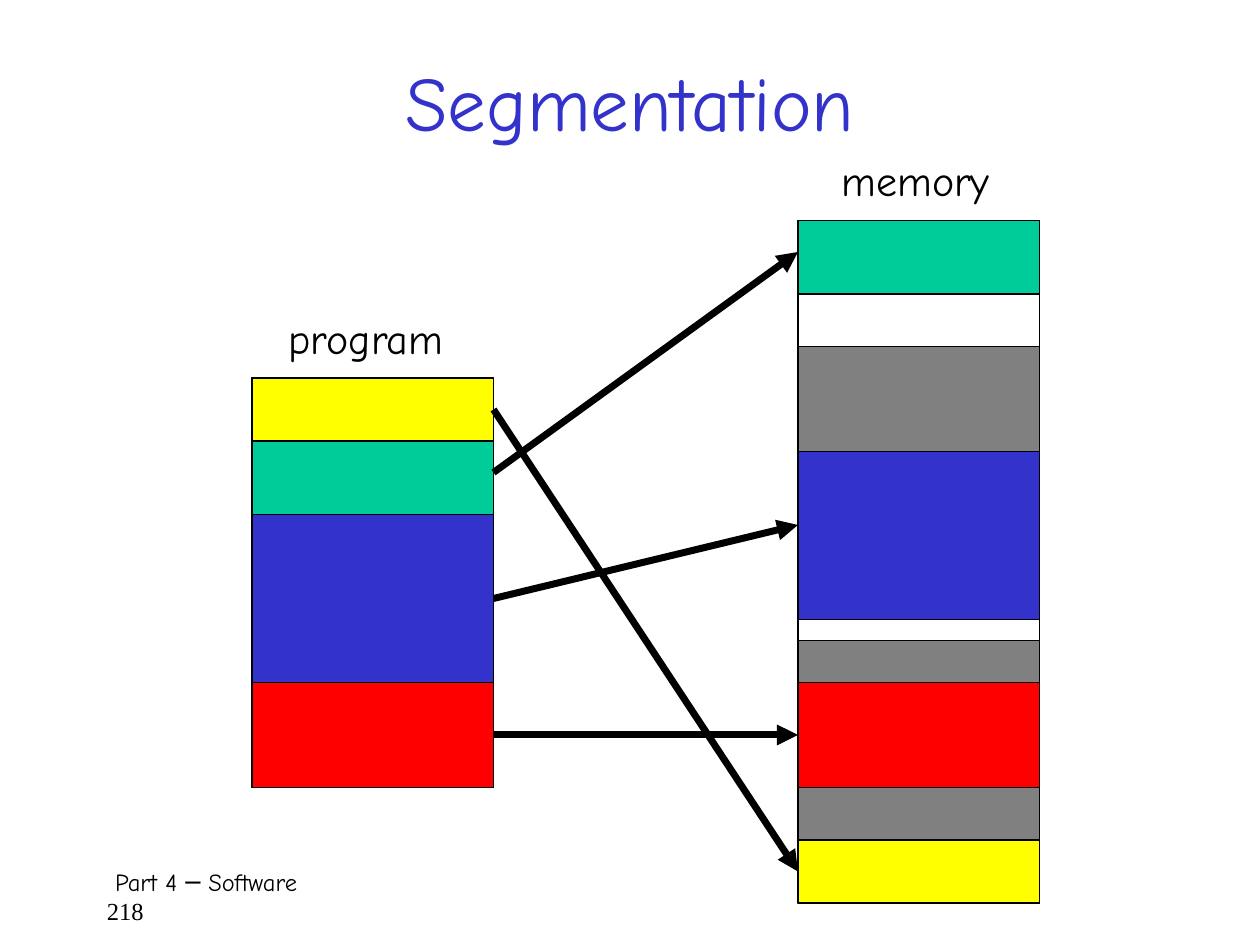
from dataclasses import dataclass
from typing import NamedTuple

from lxml.etree import SubElement
from pptx import Presentation
from pptx.dml.color import RGBColor
from pptx.enum.shapes import MSO_CONNECTOR as Connector, MSO_SHAPE as Shape
from pptx.enum.text import MSO_ANCHOR as Anchor, PP_ALIGN as Align
from pptx.oxml.ns import qn
from pptx.util import Inches, Pt


@dataclass(frozen=True)
class Theme:
    """Colours, fonts and sizes of the slide."""
    black: str = "000000"
    yellow: str = "FFFF00"
    green: str = "00CC99"
    blue: str = "3333CC"
    red: str = "FF0000"
    gray: str = "808080"
    font: str = "Comic Neue"
    number_font: str = "Times New Roman"
    title_size: int = 44
    label_size: int = 24
    footer_size: int = 14
    outline: float = 0.75
    arrow: float = 4


class Segment(NamedTuple):
    """A block of a stack: height in grid rows and colour, None for a gap."""
    rows: int
    color: str | None


class Stack(NamedTuple):
    """A column of segments placed on the grid."""
    column: int
    row: int
    segments: tuple[Segment, ...]


class Link(NamedTuple):
    """An arrow between the stacks, by its grid rows."""
    start: int
    end: int


class Label(NamedTuple):
    """A line of text in a box given in inches."""
    text: str
    box: tuple[float, float, float, float]
    size: int
    color: str
    wrap: bool = True


THEME = Theme()
CELLS_PER_INCH = 12
STACK_COLUMNS = 23
PROGRAM = Stack(24, 36, (
    Segment(6, THEME.yellow), Segment(7, THEME.green),
    Segment(16, THEME.blue), Segment(10, THEME.red)))
MEMORY = Stack(76, 21, (
    Segment(7, THEME.green), Segment(5, None), Segment(10, THEME.gray),
    Segment(16, THEME.blue), Segment(2, None), Segment(4, THEME.gray),
    Segment(10, THEME.red), Segment(5, THEME.gray), Segment(6, THEME.yellow)))
LINKS = (Link(39, 83), Link(45, 24), Link(57, 50), Link(70, 70))
TITLE = Label("Segmentation", (0.75, 0.17, 8.5, 1.25), THEME.title_size, THEME.blue)
PROGRAM_LABEL = Label("program", (2.19, 2.43, 1.48, 0.57), THEME.label_size, THEME.black, False)
MEMORY_LABEL = Label("memory", (6.58, 1.18, 1.41, 0.57), THEME.label_size, THEME.black, False)
FOOTER = Label(" Part 4 ─ Software", (0.75, 6.83, 8.58, 0.5), THEME.footer_size, THEME.black)


def grid(cells: int) -> int:
    """Turn grid cells into a length."""
    return Inches(cells / CELLS_PER_INCH)


def add_run(paragraph, text: str, label: Label, font: str) -> None:
    """Append formatted text to a paragraph."""
    run = paragraph.add_run()
    run.text = text
    for name, value in {"name": font, "size": Pt(label.size)}.items():
        setattr(run.font, name, value)
    run.font.color.rgb = RGBColor.from_string(label.color)


def add_label(slide, label: Label, **frame_format):
    """Draw a label and return its paragraph."""
    frame = slide.shapes.add_textbox(*map(Inches, label.box)).text_frame
    for name, value in {"word_wrap": label.wrap, **frame_format}.items():
        setattr(frame, name, value)
    paragraph = frame.paragraphs[0]
    add_run(paragraph, label.text, label, THEME.font)
    return paragraph


def add_block(slide, column: int, row: int, rows: int, color: str | None) -> None:
    """Draw an outlined rectangle, filled if it has a colour."""
    shape = slide.shapes.add_shape(
        Shape.RECTANGLE, grid(column), grid(row), grid(STACK_COLUMNS), grid(rows))
    shape.shadow.inherit = False
    if color:
        shape.fill.solid()
        shape.fill.fore_color.rgb = RGBColor.from_string(color)
    else:
        shape.fill.background()
    shape.line.color.rgb = RGBColor.from_string(THEME.black)
    shape.line.width = Pt(THEME.outline)


def add_stack(slide, stack: Stack) -> None:
    """Draw the frame of a stack and its segments from top to bottom."""
    add_block(slide, stack.column, stack.row, sum(part.rows for part in stack.segments), None)
    row = stack.row
    for segment in stack.segments:
        if segment.color:
            add_block(slide, stack.column, row, segment.rows, segment.color)
        row += segment.rows


def add_arrow(slide, link: Link) -> None:
    """Draw an arrow from the program to the memory."""
    connector = slide.shapes.add_connector(
        Connector.STRAIGHT, grid(PROGRAM.column + STACK_COLUMNS), grid(link.start),
        grid(MEMORY.column), grid(link.end))
    connector.line.color.rgb = RGBColor.from_string(THEME.black)
    connector.line.width = Pt(THEME.arrow)
    SubElement(connector.line._get_or_add_ln(), qn("a:tailEnd"), type="triangle")
    SubElement(connector._element.spPr, qn("a:effectLst"))


def main() -> None:
    """Build and save the slide."""
    presentation = Presentation()
    presentation.slide_width, presentation.slide_height = Inches(10), Inches(7.5)
    slide = presentation.slides.add_slide(presentation.slide_layouts[6])
    footer = add_label(slide, FOOTER)
    footer.add_line_break()
    add_run(footer, "218", FOOTER, THEME.number_font)
    add_label(slide, TITLE, vertical_anchor=Anchor.MIDDLE).alignment = Align.CENTER
    for stack, label in ((PROGRAM, PROGRAM_LABEL), (MEMORY, MEMORY_LABEL)):
        add_stack(slide, stack)
        add_label(slide, label)
    for link in LINKS:
        add_arrow(slide, link)
    presentation.save("out.pptx")


if __name__ == "__main__":
    main()
